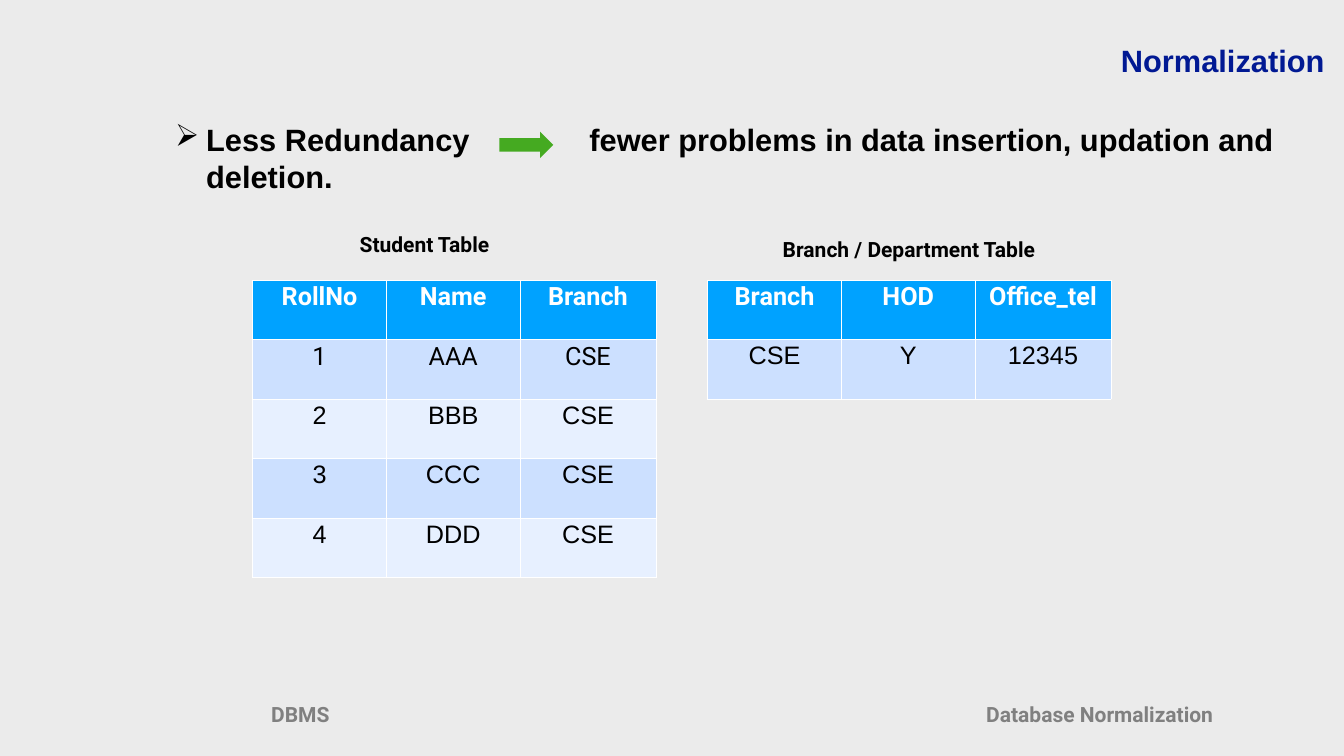
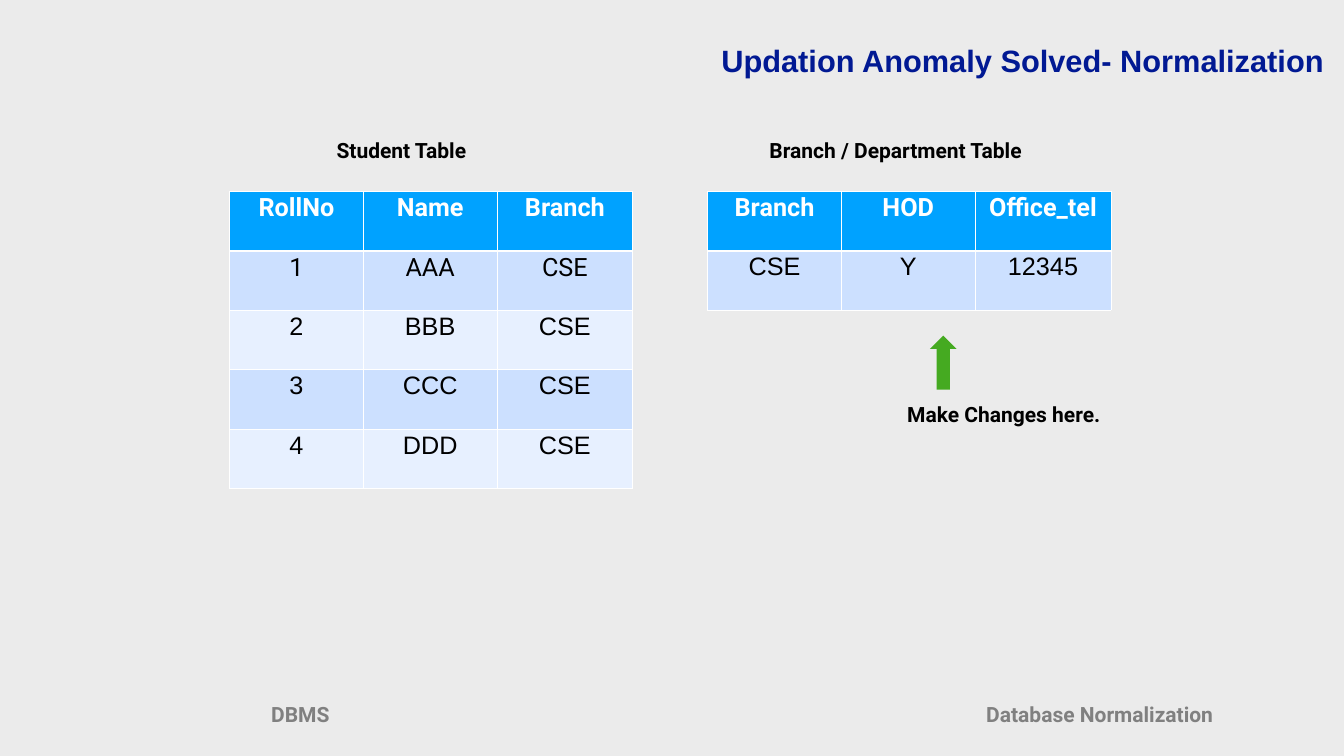
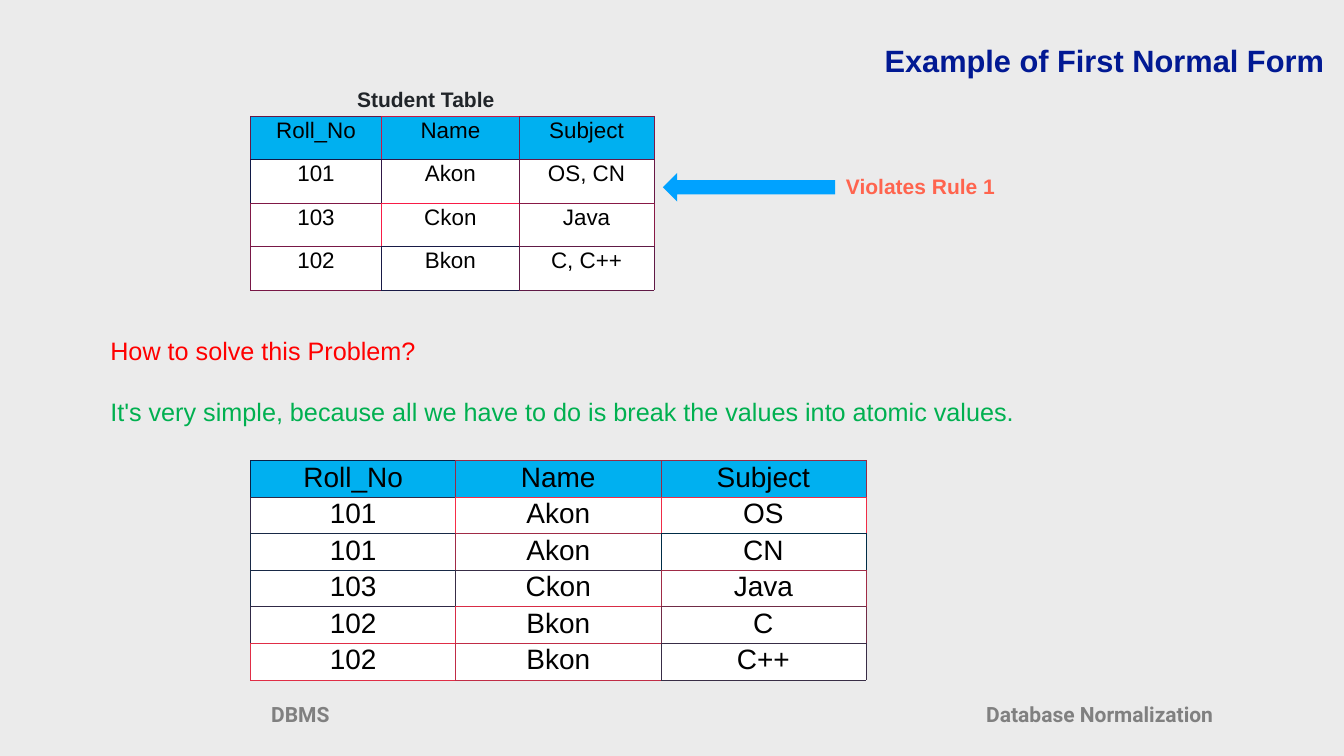
"""Builds three slides on database normalization."""
from lxml import etree
from pptx import Presentation
from pptx import util as u
from pptx.dml import color
from pptx.enum import shapes, text
from pptx.oxml import ns

Pt = u.Pt
HUES = {
    "back": "EBEBEB", "foot": "808080", "title": "011993", "ink": "000000",
    "white": "FFFFFF", "green": "45AA21", "blue": "00A2FF", "odd": "CCE0FF",
    "even": "E7F0FF", "sky": "00B0F0", "dark": "212529", "coral": "FF644E",
    "red": "FF0000", "leaf": "00B050",
}
BASE = {"name": "Arial", "size": Pt(30), "bold": True}
LABEL = {**BASE, "name": "Roboto"}
HEAD = {**BASE, "size": Pt(44)}
PLAIN = {**BASE, "size": Pt(36), "bold": False}
MID = text.PP_ALIGN.CENTER
LEFT = text.PP_ALIGN.LEFT
RIGHT = text.PP_ALIGN.RIGHT
SLIM = dict.fromkeys(("margin_left", "margin_top", "margin_right", "margin_bottom"), Pt(4.5))
SLIM["vertical_anchor"] = text.MSO_ANCHOR.MIDDLE
KINDS = shapes.MSO_SHAPE

STUDENT = [("RollNo", "Name", "Branch"), ("1", "AAA", "CSE"), ("2", "BBB", "CSE"),
           ("3", "CCC", "CSE"), ("4", "DDD", "CSE")]
BRANCH = [("Branch", "HOD", "Office_tel"), ("CSE", "Y", "12345")]
MIXED = [("Roll_No", "Name", "Subject"), ("101", "Akon", "OS, CN"),
         ("103", "Ckon", "Java"), ("102", "Bkon", "C, C++")]
ATOMIC = [("Roll_No", "Name", "Subject"), ("101", "Akon", "OS"), ("101", "Akon", "CN"),
          ("103", "Ckon", "Java"), ("102", "Bkon", "C"), ("102", "Bkon", "C++")]
EDGES = {
    "mixed": ["681846 C81846 801846", "101946 301746 681846",
              "801846 F81B46 881946", "781746 181A46 601A46"],
    "atomic": ["082146 982A46 982A46", "302946 F82D46 F02C46", "182946 A02B46 002C46",
               "182946 382D46 A02B46", "302946 D82C46 702B46", "E02D46 C02C46 382D46"],
}


def rgb(hue):
    """Turns a colour name into a colour."""
    return color.RGBColor.from_string(HUES[hue])


def dress(item, looks):
    """Sets each attribute in a dict of format values."""
    for key, val in looks.items():
        setattr(item, key, val)


class Deck:
    """Holds the style and the current slide."""

    def __init__(self):
        """Starts an empty deck."""
        self.prs = Presentation()
        dress(self.prs, {"slide_width": Pt(1920), "slide_height": Pt(1080)})

    def page(self, title):
        """Adds a slide with its title and footers."""
        self.slide = self.prs.slides.add_slide(self.prs.slide_layouts[6])
        fill = self.slide.background.fill
        fill.solid()
        fill.fore_color.rgb = rgb("back")
        for left, words in ((196, "DBMS"), (1338, "Database Normalization")):
            self.label(left, 998, words, 466, "foot")
        self.prose((700.5, 56, 1196.5, 61), [(title, "title")], HEAD, RIGHT, SLIM)

    def prose(self, at, lines, font, align=LEFT, frame={}, gap=0):
        """Adds a text box with one paragraph a line."""
        box = self.slide.shapes.add_textbox(*map(Pt, at)).text_frame
        dress(box, {"word_wrap": True, **frame})
        for i, (words, hue) in enumerate(lines):
            para = box.add_paragraph() if i else box.paragraphs[0]
            if i:
                para.space_before = Pt(gap)
            self.words(para, words, font, hue, align)
        return box

    def words(self, para, words, font, hue, align):
        """Puts formatted words in a paragraph."""
        para.alignment = align
        run = para.add_run()
        run.text = words
        dress(run.font, font)
        run.font.color.rgb = rgb(hue)

    def label(self, left, top, words, wide=491, hue="ink"):
        """Adds a short centred label."""
        self.prose((left, top, wide, 44.5), [(words, hue)], LABEL, MID, SLIM)

    def bullet(self, at, words, tab):
        """Adds a bullet with a tab stop."""
        para = self.prose(at, [(words, "ink")], HEAD, frame=SLIM).paragraphs[0]
        props = para._p.get_or_add_pPr()
        for key, val in (("marL", 44.5), ("indent", -44.5)):
            props.set(key, str(Pt(val)))
        etree.SubElement(props, ns.qn("a:buChar"), char="➢")
        tabs = etree.SubElement(props, ns.qn("a:tabLst"))
        etree.SubElement(tabs, ns.qn("a:tab"), pos=str(Pt(tab)), algn="l")

    def arrow(self, kind, at, hue):
        """Adds a block arrow."""
        shape = self.slide.shapes.add_shape(kind, *map(Pt, at))
        shape.shadow.inherit = False
        shape.fill.solid()
        shape.fill.fore_color.rgb = rgb(hue)
        shape.line.fill.background()

    def edge(self, cell, side, hue, width):
        """Draws one border of a cell."""
        line = etree.SubElement(cell._tc.get_or_add_tcPr(), ns.qn("a:ln" + side),
                                w=str(Pt(width)))
        solid = etree.SubElement(line, ns.qn("a:solidFill"))
        etree.SubElement(solid, ns.qn("a:srgbClr"), val=hue)

    def grid(self, at, cols, high, rows, look):
        """Adds a table whose look(row, col) gives font, ink, fill, edges and margins."""
        size = (sum(cols), high * len(rows))
        table = self.slide.shapes.add_table(len(rows), len(cols), *map(Pt, at + size)).table
        dress(table, {"first_row": False, "horz_banding": False})
        for col, wide in zip(table.columns, cols):
            col.width = Pt(wide)
        for r, row in enumerate(rows):
            table.rows[r].height = Pt(high)
            for c, words in enumerate(row):
                cell = table.cell(r, c)
                font, ink, fill, edges, pads = look(r, c)
                dress(cell, pads)
                self.words(cell.text_frame.paragraphs[0], words, font, ink, MID)
                for side, (hue, width) in edges.items():
                    self.edge(cell, side, hue, width)
                cell.fill.solid()
                cell.fill.fore_color.rgb = rgb(fill)

    def banded(self, left, top, rows, first="Arial"):
        """Adds a table with a blue head and pale bands."""
        def look(r, c):
            """Styles a cell by its row."""
            edges = {side: (HUES["white"], 1) for side in "LRTB"}
            if r == 0:
                edges["B"] = (HUES["white"], 3)
                return {**LABEL, "size": Pt(36)}, "white", "blue", edges, {}
            font = {**PLAIN, "name": first if r == 1 else "Arial"}
            return font, "ink", "odd" if r % 2 else "even", edges, {}
        self.grid((left, top), (191, 191, 194), 85, rows, look)

    def ruled(self, top, cols, high, rows, edges, size, pad):
        """Adds a white table with coloured rules."""
        hues = [line.split() for line in EDGES[edges]]
        pads = {"margin_left": Pt(2 * pad), "margin_right": Pt(2 * pad),
                "margin_top": Pt(pad), "margin_bottom": Pt(pad)}

        def look(r, c):
            """Takes right and lower rules from the next cells."""
            own = hues[r][c]
            after = hues[r][c + 1] if c + 1 < len(cols) else own
            below = hues[r + 1][c] if r + 1 < len(rows) else own
            lines = {"L": own, "R": after, "T": own, "B": below}
            sides = {side: (hue, 0.75) for side, hue in lines.items()}
            return {**PLAIN, "size": Pt(size)}, "ink", "white" if r else "sky", sides, pads
        self.grid((358, top), cols, high, rows, look)


def main():
    """Builds and saves the slides."""
    deck = Deck()

    deck.page("Normalization")
    deck.bullet((245.5, 168.5, 1651.5, 114.5),
                "Less Redundancy\tfewer problems in data insertion, updation and deletion.", 592)
    deck.arrow(KINDS.RIGHT_ARROW, (713.5, 188, 77, 38), "green")
    deck.banded(1011, 400, BRANCH)
    deck.label(1053, 334, "Branch / Department Table")
    deck.banded(361, 400, STUDENT, "Roboto")
    deck.label(361, 327, "Student Table")

    deck.page("Updation Anomaly Solved- Normalization")
    deck.banded(1011, 273, BRANCH)
    deck.label(1034, 192, "Branch / Department Table")
    deck.banded(328, 273, STUDENT, "Roboto")
    deck.label(328, 192, "Student Table")
    deck.label(961, 570, "Make Changes here.", 946)
    deck.arrow(KINDS.UP_ARROW, (1328.5, 479.5, 38, 77), "green")

    deck.page("Example of First Normal Form")
    deck.prose((488, 119.5, 240.5, 44), [("Student Table", "dark")], BASE, MID)
    deck.ruled(166, (187, 197, 192), 62, MIXED, "mixed", 32, 3)
    deck.arrow(KINDS.LEFT_ARROW, (947, 247, 246, 41), "blue")
    deck.prose((1201.5, 245, 240.5, 44), [("Violates Rule 1", "coral")], BASE)
    deck.prose((150.5, 475, 1527, 138), [
        ("How to solve this Problem?", "red"),
        ("It's very simple, because all we have to do is break the values into atomic values.",
         "leaf")], PLAIN, gap=44)
    deck.ruled(658, (293, 293, 293), 52.2, ATOMIC, "atomic", 40, 2)

    deck.prs.save("out.pptx")


if __name__ == "__main__":
    main()
